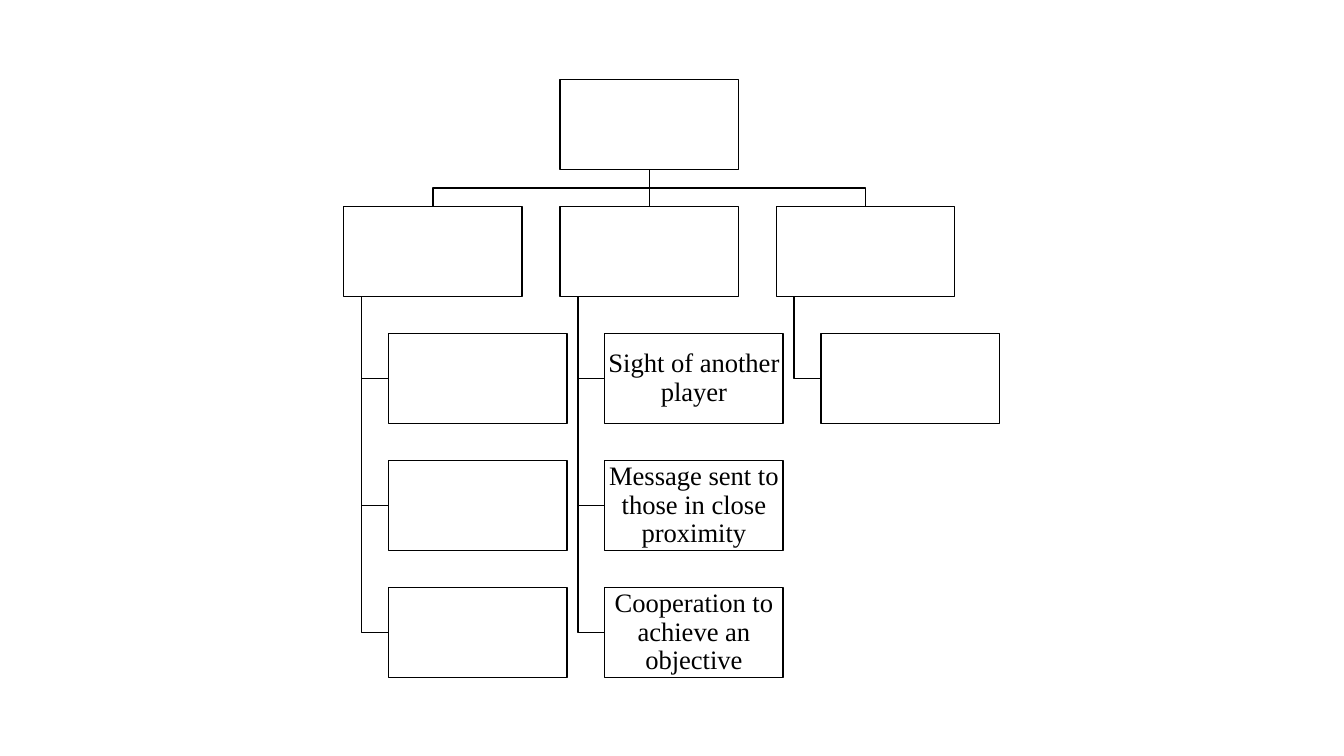
"""Build a slide with a three-branch hierarchy of communication events."""
from lxml import etree
from pptx import Presentation
from pptx import util as u
from pptx.dml.color import RGBColor
from pptx.enum import shapes, text
from pptx.oxml import ns

BLACK = RGBColor(0, 0, 0)
WHITE = RGBColor(255, 255, 255)

presentation = Presentation()
presentation.slide_width = u.Inches(13.33)
presentation.slide_height = u.Inches(7.5)
slide = presentation.slides.add_slide(presentation.slide_layouts[6])

BOX_WIDTH, BOX_HEIGHT = u.Inches(1.77), u.Inches(0.89)
COLUMN_GAP, ROW_GAP = u.Inches(0.375), u.Inches(0.37)
COLUMN_STEP, ROW_STEP = BOX_WIDTH + COLUMN_GAP, BOX_HEIGHT + ROW_GAP
COLUMNS = [u.Inches(3.41) + column * COLUMN_STEP for column in range(3)]
ROWS = [u.Inches(0.79) + row * ROW_STEP for row in range(5)]
CHILD_INDENT = BOX_WIDTH // 4
STEM_INDENT = BOX_WIDTH // 10


def add_box(wording, left, top, size=19, font="Times New Roman", color=BLACK):
    shape = slide.shapes.add_shape(
        shapes.MSO_SHAPE.RECTANGLE, left, top, BOX_WIDTH, BOX_HEIGHT)
    shape.shadow.inherit = False
    shape.fill.solid()
    shape.fill.fore_color.rgb = WHITE
    shape.line.color.rgb = BLACK
    shape.line.width = u.Pt(1)
    if not wording:
        return
    frame = shape.text_frame
    frame.word_wrap = True
    frame.vertical_anchor = text.MSO_ANCHOR.MIDDLE
    frame.margin_left = frame.margin_right = u.Inches(0.01)
    frame.margin_top = frame.margin_bottom = u.Inches(0.01)
    paragraph = frame.paragraphs[0]
    paragraph.alignment = text.PP_ALIGN.CENTER
    paragraph.line_spacing = 0.9
    run = paragraph.add_run()
    run.text = wording
    run.font.size = u.Pt(size)
    run.font.name = font
    run.font.color.rgb = color


def add_line(start, *points):
    if len(points) == 1:
        line = slide.shapes.add_connector(
            shapes.MSO_CONNECTOR.STRAIGHT, *start, *points[0])
        etree.SubElement(line._element.spPr, ns.qn("a:effectLst"))
    else:
        builder = slide.shapes.build_freeform(*start)
        builder.add_line_segments(points, close=False)
        line = builder.convert_to_shape()
        line.shadow.inherit = False
        line.fill.background()
    line.line.color.rgb = BLACK
    line.line.width = u.Pt(1)


branches = [
    ["", "", ""],
    ["Sight of another player",
     "Message sent to those in close proximity",
     "Cooperation to achieve an objective"],
    [""],
]
root_left, root_top = COLUMNS[1], ROWS[0]
root_center = root_left + BOX_WIDTH // 2
root_bottom = root_top + BOX_HEIGHT
bus = root_bottom + ROW_GAP // 2

add_box("", root_left, root_top)
for left, children in zip(COLUMNS, branches):
    center = left + BOX_WIDTH // 2
    bends = [] if left == root_left else [(root_center, bus), (center, bus)]
    add_line((root_center, root_bottom), *bends, (center, ROWS[1]))
    add_box("", left, ROWS[1])

    stem, child_left = left + STEM_INDENT, left + CHILD_INDENT
    for top, wording in zip(ROWS[2:], children):
        middle = top + BOX_HEIGHT // 2
        add_line((stem, ROWS[1] + BOX_HEIGHT), (stem, middle), (child_left, middle))
        add_box(wording, child_left, top)

presentation.save("out.pptx")
